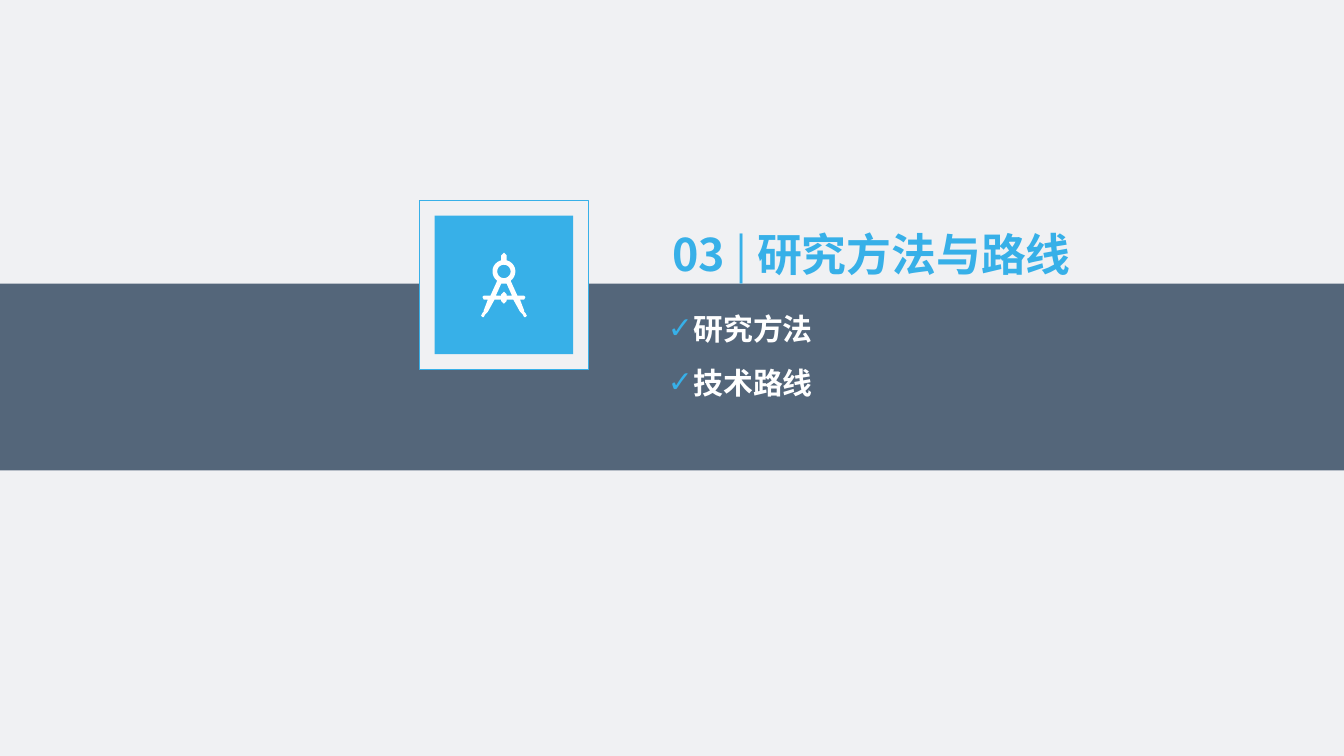
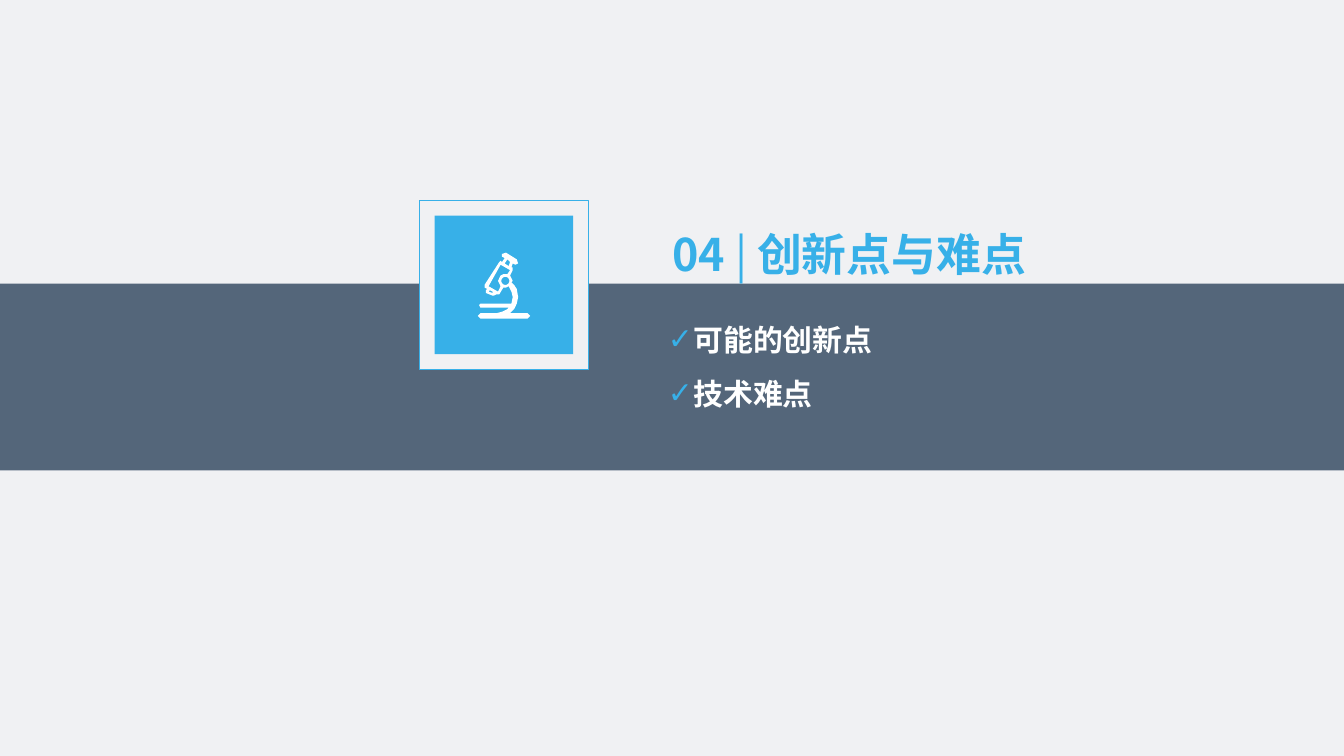
from math import cos, radians, sin

from lxml import etree
from pptx import Presentation, util as u
from pptx.dml.color import RGBColor
from pptx.enum import shapes, text
from pptx.oxml import ns

SKY = RGBColor(0x37, 0xB0, 0xE8)
SLATE = RGBColor(0x54, 0x66, 0x7A)
PALE = RGBColor(0xF0, 0xF1, 0xF3)
WHITE = RGBColor(0xFF, 0xFF, 0xFF)
SANS = "Noto Sans CJK SC"
SLIM = "Roboto Condensed"
WIDE = u.Inches(10)
HIGH = WIDE * 9 // 16
FRAME = {"margin_left": 0, "margin_right": 0, "margin_top": 0, "margin_bottom": 0,
         "word_wrap": True, "vertical_anchor": text.MSO_ANCHOR.TOP,
         "auto_size": text.MSO_AUTO_SIZE.SHAPE_TO_FIT_TEXT}
PARA = {"line_spacing": 1.5, "space_before": u.Pt(0), "space_after": u.Pt(0),
        "alignment": text.PP_ALIGN.LEFT}


def apply(item, style):
    """Set every attribute named in the style."""
    for key, value in style.items():
        setattr(item, key, value)


def arc(x, y, r, start, end, steps=20):
    """Return points along an arc, in hundredths of an inch."""
    turns = [radians(start + (end - start) * i / steps) for i in range(steps + 1)]
    return [(x + r * cos(t), y + r * sin(t)) for t in turns]


def mirror(half, axis):
    """Close a left half outline with its reflection about the axis."""
    return half + [(2 * axis - x, y) for x, y in reversed(half)]


LEG = [(17, 0), (15, 2), *arc(17, 14, 8.5, 256, 126), (7, 32), (2, 32), (1, 33),
       (2, 35), (5, 35), (2, 43), (2, 44), (1, 45), (0, 47), (1, 48), (2, 48),
       (3, 46), (4, 45), (5, 44), (10, 35), (15, 35), (15, 36), (17, 38)]
GAP = [(17, 29), (15, 31), (15, 32), (11, 32), (15, 23), (17, 23)]
COMPASS = [mirror(LEG, 17), mirror(GAP, 17), arc(17, 14, 5, 0, 360)]
SCOPE = [
    [(25, 22), (27, 24), (29, 27), (30, 33), (29, 38), (27, 42), (24, 45), (37, 45),
     (39, 47), (37, 49), (2, 49), (0, 47), (2, 45), (14, 45), (18, 44), (22, 42),
     (23, 41), (2, 41), (1, 39), (2, 38), (25, 38), (26, 33), (25, 29), (23, 25),
     (21, 26), (19, 26), (16, 31), (14, 31), (12, 32), (11, 32), (6, 30), (6, 28),
     (7, 27), (5, 26), (5, 24), (16, 7), (17, 6), (18, 7), (20, 4), (18, 3),
     (18, 1), (21, 0), (29, 5), (30, 8), (28, 9), (26, 8), (25, 11), (26, 11),
     (26, 13), (24, 17), (26, 21)],
    [(24, 7), (22, 5), (20, 8), (23, 10)],
    [(22, 16), (24, 13), (17, 9), (8, 25), (15, 29), (17, 25), (15, 21), (17, 17),
     (19, 16)],
    arc(20.5, 21, 3, 0, 360),
    [(9, 28), (8, 29), (11, 30), (11, 29)],
]


def paint(shape, fill, line=None):
    """Give a shape its flat fill and thin line."""
    shape.shadow.inherit = False
    shape.fill.solid()
    shape.fill.fore_color.rgb = fill
    if line is None:
        shape.line.fill.background()
    else:
        shape.line.color.rgb = line
        shape.line.width = u.Pt(0.5)


def block(slide, box, fill, line=None):
    """Draw a plain rectangle."""
    sides = [u.Inches(n) for n in box]
    paint(slide.shapes.add_shape(shapes.MSO_SHAPE.RECTANGLE, *sides), fill, line)


def icon(slide, x, y, loops):
    """Draw closed loops as one white outline from its top left corner."""
    sets = [[(u.Inches(x + a / 100), u.Inches(y + b / 100)) for a, b in loop]
            for loop in loops]
    pen = slide.shapes.build_freeform(*sets[0][0], scale=1.0)
    for i, loop in enumerate(sets):
        if i:
            pen.move_to(*loop[0])
        pen.add_line_segments(loop[1:], close=True)
    paint(pen.convert_to_shape(), WHITE)


def badge(slide, x, y, size, loops, span):
    """Draw the framed tile with its icon in the middle."""
    core = 1.03
    pad = (size - core) / 2
    block(slide, (x, y, size, size), PALE, SKY)
    block(slide, (x + pad, y + pad, core, core), SKY)
    icon(slide, x + (size - span) / 2, y + 0.39, loops)


def place(slide, shape, box):
    """Move a placeholder to its box, in front, and return its text frame."""
    shape.left, shape.top, shape.width, shape.height = [u.Inches(n) for n in box]
    slide.shapes.element.append(shape.element)
    apply(shape.text_frame, FRAME)
    return shape.text_frame


def write(para, words, style, color):
    """Add a run in the given style and colour."""
    run = para.add_run()
    run.text = words
    apply(run.font, style)
    run.font.color.rgb = color
    etree.SubElement(run.font._element, ns.qn("a:ea"), typeface=SANS)


def tick(para):
    """Give a paragraph its coloured check bullet."""
    props = para._p.get_or_add_pPr()
    props.set("marL", str(u.Inches(0.19)))
    props.set("indent", str(-u.Inches(0.19)))
    tint = etree.SubElement(props, ns.qn("a:buClr"))
    etree.SubElement(tint, ns.qn("a:srgbClr"), val=str(SKY))
    etree.SubElement(props, ns.qn("a:buChar"), char="✓")


def head(slide, box, number, title):
    """Write the section number and title."""
    para = place(slide, slide.shapes.title, box).paragraphs[0]
    apply(para, PARA)
    for words, bold in ((number + " ", True), ("| ", False), (title, True)):
        write(para, words, {"size": u.Pt(24), "bold": bold, "name": SANS}, SKY)


def topics(slide, box, items, face):
    """Write the list of topics."""
    frame = place(slide, slide.placeholders[1], box)
    for i, item in enumerate(items):
        para = frame.add_paragraph() if i else frame.paragraphs[0]
        apply(para, PARA)
        tick(para)
        write(para, item, {"size": u.Pt(16), "bold": True, "name": face}, WHITE)


def section(deck, number, title, wide, items, box, face, loops, span):
    """Add one section slide."""
    slide = deck.slides.add_slide(deck.slide_layouts[1])
    fill = slide.background.fill
    fill.solid()
    fill.fore_color.rgb = PALE
    block(slide, (0, 2.11, 10, 1.39), SLATE)
    badge(slide, 3.12, 1.49, 1.26, loops, span)
    topics(slide, box, items, face)
    head(slide, (5, 1.49, wide, 0.53), number, title)


def main():
    """Build and save the deck."""
    deck = Presentation()
    deck.slide_width, deck.slide_height = WIDE, HIGH
    section(deck, "03", "研究方法与路线", 3.09, ("研究方法", "技术路线"),
            (4.97, 2.18, 1.56, 0.74), SANS, COMPASS, 0.34)
    section(deck, "04", "创新点与难点", 2.84, ("可能的创新点", "技术难点"),
            (4.97, 2.26, 1.56, 1.16), SLIM, SCOPE, 0.39)
    deck.save("out.pptx")


if __name__ == "__main__":
    main()
